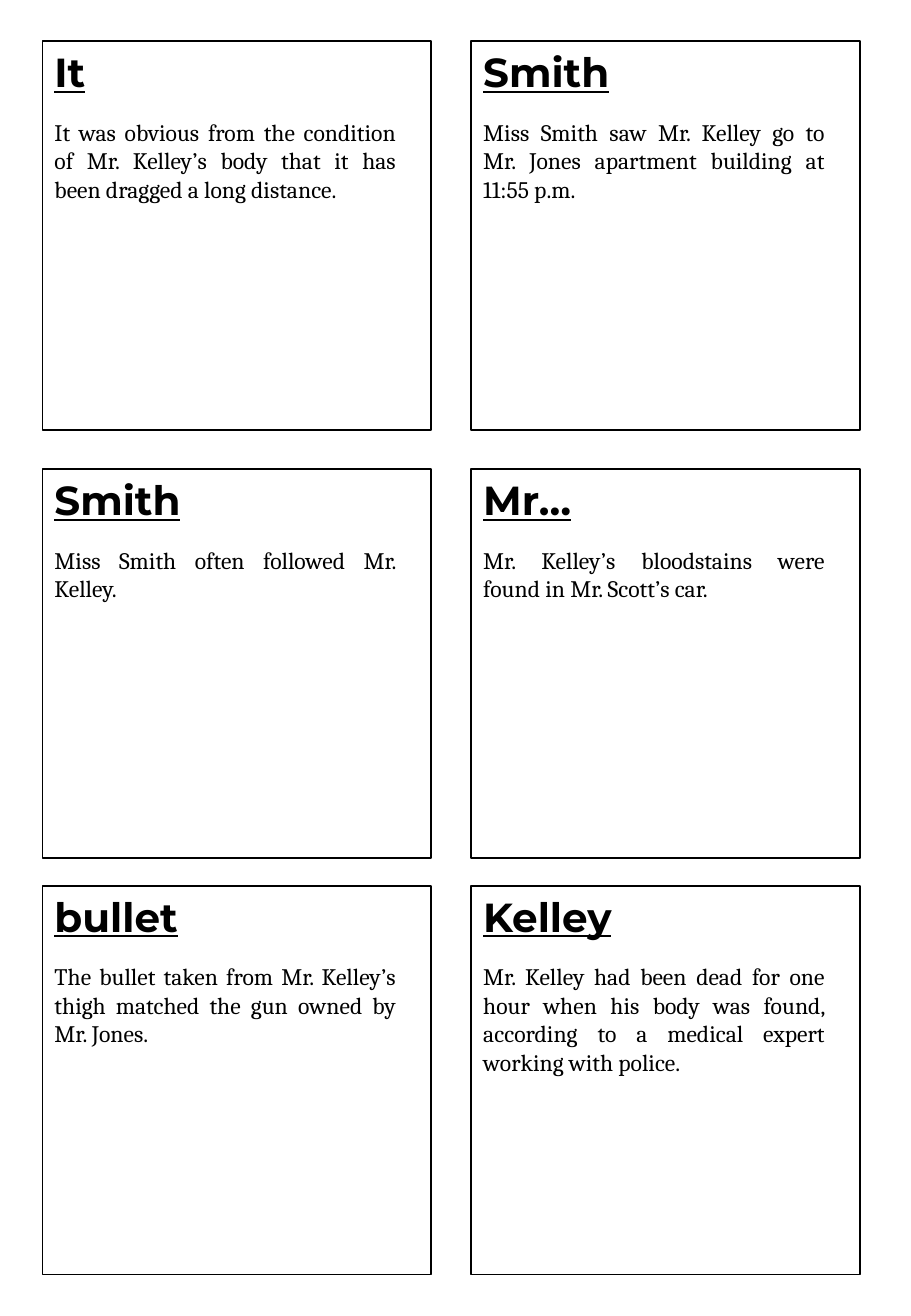
"""Build a sheet of six clue cards in two columns and three rows."""
from pptx import Presentation, util as u
from pptx.dml.color import RGBColor
from pptx.enum import shapes, text

BLACK = RGBColor(0, 0, 0)
COLUMNS = (0.35, 3.88)
ROWS = (0.34, 3.86, 7.29)
CARD_SIDE = 3.2
HEADING_HEIGHT = 0.5
CLUE_OFFSET = 0.58
CLUE_WIDTH = 3.01
LINE_HEIGHT = 0.235
INSETS = 0.1

CARDS = [
    ("It", "It was obvious from the condition of Mr. Kelley’s body that it has "
     "been dragged a long distance. ", 4),
    ("Smith", "Miss Smith saw Mr. Kelley go to Mr. Jones apartment building at "
     "11:55 p.m.", 3),
    ("Smith", "Miss Smith often followed Mr. Kelley.", 2),
    ("Mr…", "Mr. Kelley’s bloodstains were found in Mr. Scott’s car. ", 2),
    ("bullet", "The bullet taken from Mr. Kelley’s thigh matched the gun owned by "
     "Mr. Jones. ", 3),
    ("Kelley", "Mr. Kelley had been dead for one hour when his body was found, "
     "according to a medical expert working with police. ", 4),
]


def add_text(slide, box, wording, font_name, size, heading=False):
    shape = slide.shapes.add_textbox(*map(u.Inches, box))
    frame = shape.text_frame
    frame.word_wrap = True
    frame.auto_size = text.MSO_AUTO_SIZE.SHAPE_TO_FIT_TEXT
    paragraph = frame.paragraphs[0]
    paragraph.alignment = text.PP_ALIGN.LEFT if heading else text.PP_ALIGN.JUSTIFY
    run = paragraph.add_run()
    run.text = wording
    run.font.name = font_name
    run.font.size = u.Pt(size)
    run.font.color.rgb = BLACK
    run.font.bold = run.font.underline = heading


presentation = Presentation()
presentation.slide_width = u.Inches(7.5)
presentation.slide_height = u.Inches(10.83)
slide = presentation.slides.add_slide(presentation.slide_layouts.get_by_name("Blank"))

for index, (heading, clue, lines) in enumerate(CARDS):
    row, column = divmod(index, len(COLUMNS))
    left, top = COLUMNS[column], ROWS[row]
    card = slide.shapes.add_shape(
        shapes.MSO_SHAPE.RECTANGLE, *map(u.Inches, (left, top, CARD_SIDE, CARD_SIDE)))
    card.shadow.inherit = False
    card.fill.background()
    card.line.color.rgb = BLACK
    card.line.width = u.Pt(1)
    add_text(slide, (left, top, CARD_SIDE, HEADING_HEIGHT),
             heading, "Montserrat", 24, heading=True)
    add_text(slide, (left, top + CLUE_OFFSET, CLUE_WIDTH, INSETS + lines * LINE_HEIGHT),
             clue, "Cambria", 14)

presentation.save("out.pptx")
